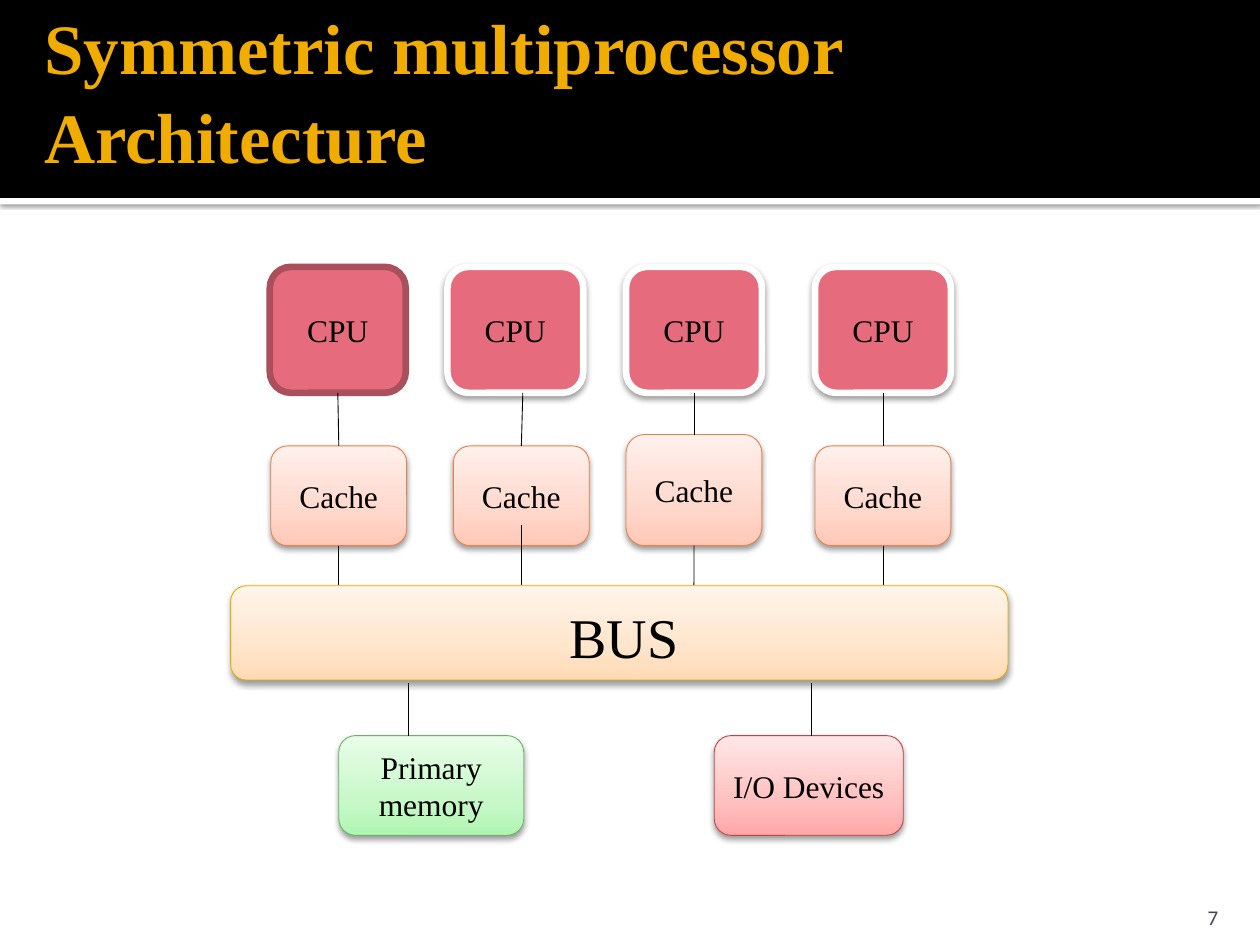
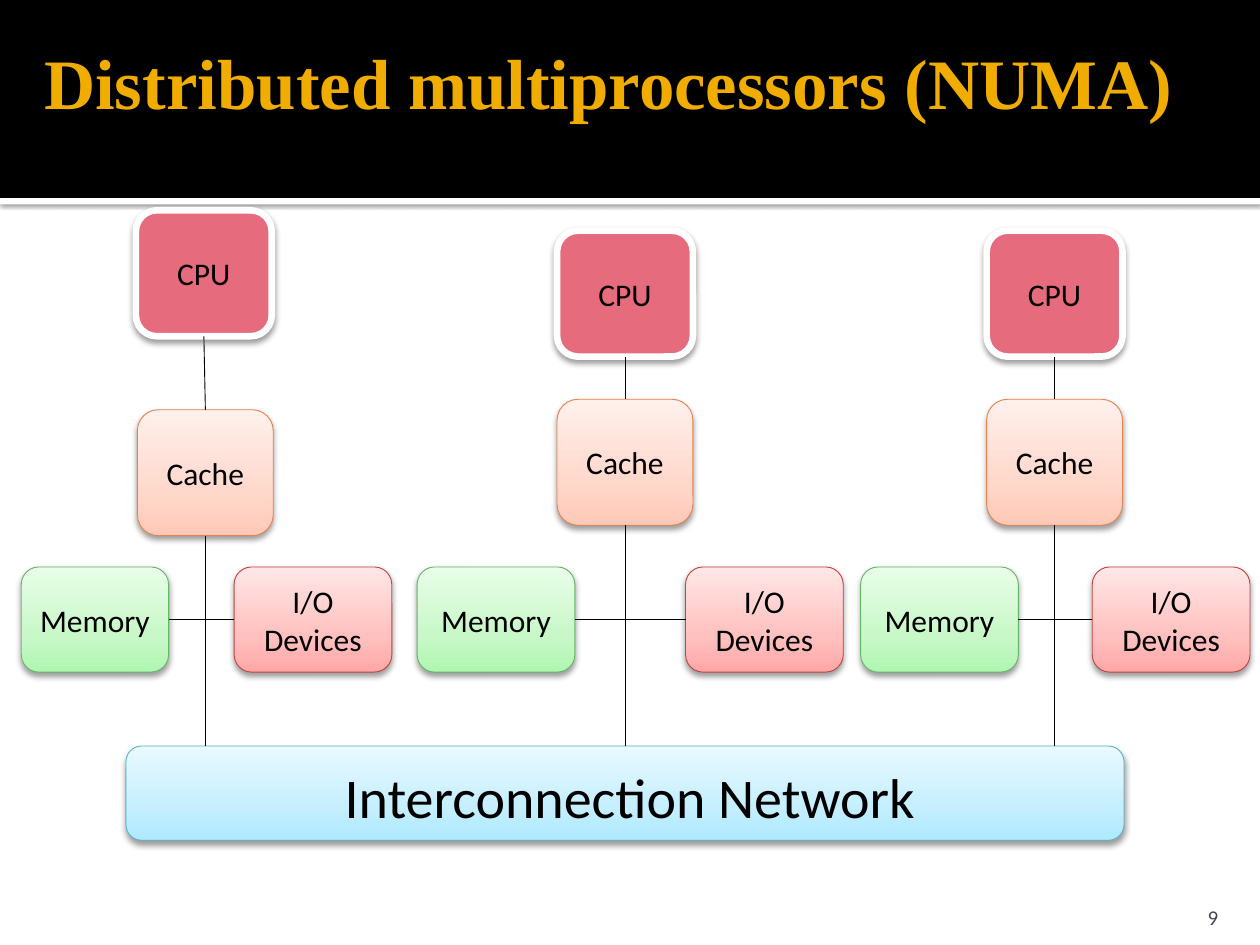
from copy import deepcopy

from lxml.etree import SubElement
from pptx import Presentation
from pptx.dml.color import RGBColor
from pptx.enum.shapes import MSO_CONNECTOR as Connector, MSO_SHAPE as Preset
from pptx.enum.text import MSO_ANCHOR as Anchor, MSO_AUTO_SIZE as AutoSize, PP_ALIGN as Align
from pptx.oxml.ns import qn
from pptx.util import Cm, Pt

SERIF, SANS = "Times New Roman", "Calibri"
TOP, LEFT, BOTTOM, RIGHT = range(4)
SOFT_SHADOW = ("000000", 38, 3.5, 2)
BAND_SHADOW = ("000000", 60, 2.5, 0.8)
CPU_FILL = "E66C7D"
GRADIENTS = {
    "cache": (("FFC8B7", "FFD8CC", "FFF0EC"), "E7824C"),
    "bus": (("FFDBB5", "FFE5CB", "FFF5EB"), "EBA900"),
    "network": (("ADE9FF", "C5EFFF", "E9F9FF"), "5BB3CA"),
    "memory": (("B0F6B1", "C8F8C8", "E9FDE9"), "67B569"),
    "devices": (("FFA7A7", "FFC1C0", "FFE7E7"), "C54342"),
}
STOP_POSITIONS = (0, 0.35, 1)


def color(value):
    return RGBColor.from_string(value)


def apply(target, values):
    for name, value in values.items():
        setattr(target, name, value)


class Deck:
    def __init__(self):
        self.presentation = Presentation()
        apply(self.presentation, {"slide_width": Cm(25.4), "slide_height": Cm(19.05)})
        self.slide = None
        self.font = SERIF

    def new_slide(self, title, title_place, number, font):
        first = self.slide is None
        layout = self.presentation.slide_layouts[1]
        self.slide = self.presentation.slides.add_slide(layout)
        self.font = font
        if first:
            self.master_bands()
        self.title(title, title_place)
        self.page_number(number)

    def place(self, shape, box):
        apply(shape, dict(zip(("left", "top", "width", "height"), map(Cm, box))))

    def shadow(self, shape, style):
        shape.shadow.inherit = False
        if style is None:
            return
        shade, opacity, blur, distance = style
        effects = shape.element.spPr.find(qn("a:effectLst"))
        outer = SubElement(effects, qn("a:outerShdw"), blurRad=str(Pt(blur)),
                           dist=str(Pt(distance)), dir="5400000", rotWithShape="0")
        rgb = SubElement(outer, qn("a:srgbClr"), val=shade)
        SubElement(rgb, qn("a:alpha"), val=str(opacity * 1000))

    def band(self, box, fill, shadow=None):
        shape = self.slide.shapes.add_shape(Preset.RECTANGLE, *map(Cm, box))
        shape.fill.solid()
        shape.fill.fore_color.rgb = color(fill)
        shape.line.fill.background()
        self.shadow(shape, shadow)
        return shape

    def master_bands(self):
        bands = [
            self.band((0, 3.99, 25.4, 0.13), "FFFFFF", BAND_SHADOW),
            self.band((0, 0, 25.4, 3.99), "000000"),
        ]
        tree = self.presentation.slide_master.shapes.element
        for index, shape in enumerate(bands):
            shape.element.nvSpPr.cNvPr.set("id", str(101 + index))
            tree.insert(2 + index, shape.element)

    def set_text(self, shape, text, size, font=None, shade="000000", bold=False,
                 align=Align.CENTER, anchor=Anchor.MIDDLE, insets=None):
        frame = shape.text_frame
        apply(frame, {"word_wrap": True, "auto_size": AutoSize.NONE, "vertical_anchor": anchor})
        if insets:
            names = ("margin_left", "margin_top", "margin_right", "margin_bottom")
            apply(frame, dict(zip(names, map(Cm, insets))))
        paragraph = frame.paragraphs[0]
        paragraph.alignment = align
        run = paragraph.add_run()
        run.text = text
        apply(run.font, {"size": Pt(size), "name": font or self.font, "bold": bold})
        run.font.color.rgb = color(shade)
        return paragraph

    def title(self, text, box):
        shape = self.slide.shapes.title
        self.place(shape, box)
        paragraph = self.set_text(shape, text, 40.5, SERIF, "F0AD00", True, Align.LEFT,
                                  insets=(0.25, 0.13, 0.13, 0.13))
        paragraph.line_spacing = 1.05

    def page_number(self, number):
        shape = self.slide.shapes.add_textbox(*map(Cm, (22.78, 17.98, 2.03, 0.76)))
        self.set_text(shape, str(number), 12, SANS, "464653", align=Align.RIGHT,
                      anchor=Anchor.BOTTOM, insets=(0.25, 0.13, 0.25, 0))

    def outline(self, shape, shade, width):
        shape.line.color.rgb = color(shade)
        shape.line.width = Pt(width)

    def gradient(self, shape, kind):
        shades, edge = GRADIENTS[kind]
        shape.fill.gradient()
        shape.fill.gradient_angle = 90
        stop_list = shape.element.spPr.find(".//" + qn("a:gsLst"))
        stop_list.append(deepcopy(stop_list[0]))
        for stop, shade, position in zip(shape.fill.gradient_stops, shades, STOP_POSITIONS):
            stop.color.rgb = color(shade)
            stop.position = position
        self.outline(shape, edge, 0.5)
        self.shadow(shape, SOFT_SHADOW)

    def rounded(self, box):
        return self.slide.shapes.add_shape(Preset.ROUNDED_RECTANGLE, *map(Cm, box))

    def block(self, kind, text, *box):
        shape = self.rounded(box)
        self.gradient(shape, kind)
        self.set_text(shape, text, 18)
        return shape

    def cpu(self, left, top, edge="FFFFFF", shadow=SOFT_SHADOW):
        shape = self.rounded((left, top, 2.74, 2.54))
        shape.fill.solid()
        shape.fill.fore_color.rgb = color(CPU_FILL)
        self.outline(shape, edge, 3.8)
        self.shadow(shape, shadow)
        self.set_text(shape, "CPU", 18)
        return shape

    def backbone(self, kind, text, *box):
        shape = self.slide.placeholders[1]
        self.place(shape, box)
        geometry = SubElement(shape.element.spPr, qn("a:prstGeom"), prst="roundRect")
        SubElement(geometry, qn("a:avLst"))
        self.gradient(shape, kind)
        paragraph = self.set_text(shape, text, 32, insets=(0.15, 0.25, 0.25, 0.13))
        paragraph.space_before = Pt(5)
        properties = paragraph._p.get_or_add_pPr()
        properties.set("marL", str(Cm(0.3)))
        properties.set("indent", "0")
        SubElement(properties, qn("a:buNone"))
        return shape

    def link(self, start, end):
        points = [(0, 0) if hasattr(point[0], "shape_id") else point for point in (start, end)]
        line = self.slide.shapes.add_connector(
            Connector.STRAIGHT, *(Cm(value) for point in points for value in point))
        for point, connect in ((start, line.begin_connect), (end, line.end_connect)):
            if hasattr(point[0], "shape_id"):
                connect(*point)
        self.outline(line, "000000", 0.5)
        SubElement(line.element.spPr, qn("a:effectLst"))


def symmetric_slide(deck):
    deck.new_slide("Symmetric multiprocessor Architecture", (0.64, 0.2, 23.5, 3.18), 7, SERIF)
    deck.backbone("bus", "BUS", 4.65, 11.81, 15.67, 1.9)
    columns = (
        (5.44, 5.46, 8.99, {"edge": "AA505C", "shadow": None}),
        (9.02, 9.14, 8.99, {}),
        (12.62, 12.62, 8.76, {}),
        (16.43, 16.43, 8.99, {}),
    )
    bus_top, cache_bottom = 11.79, 11
    for index, (cpu_left, cache_left, cache_top, style) in enumerate(columns):
        cpu = deck.cpu(cpu_left, 5.38, **style)
        cache = deck.block("cache", "Cache", cache_left, cache_top, 2.74,
                           cache_bottom - cache_top)
        center = cache_left + 1.37
        offset = index == 1
        deck.link((10.54, 7.92) if offset else (cpu, BOTTOM), (cache, TOP))
        deck.link((center, 10.59) if offset else (cache, BOTTOM), (center, bus_top))
    for kind, text, left, width, line_x in (
        ("memory", "Primary memory", 6.83, 3.73, 8.23),
        ("devices", "I/O Devices", 14.4, 3.81, 16.36),
    ):
        deck.block(kind, text, left, 14.83, width, 2.01)
        deck.link((line_x, 13.77), (line_x, 14.83))


def distributed_slide(deck):
    deck.new_slide("Distributed multiprocessors (NUMA)", (0.64, 0, 24.13, 3.18), 9, SANS)
    network = deck.backbone("network", "Interconnection Network", 2.54, 15.04, 20.12, 1.9)
    nodes = (
        (2.74, 4.24, 2.77, 8.26, 0.43, 2.97, 4.72),
        (11.23, 4.65, 11.23, 8.05, 8.41, 3.18, 13.82),
        (19.89, 4.65, 19.89, 8.05, 17.35, 3.18, 22.02),
    )
    for index, node in enumerate(nodes):
        cpu_left, cpu_top, cache_left, cache_top, memory_left, memory_width, devices_left = node
        cpu = deck.cpu(cpu_left, cpu_top)
        cache = deck.block("cache", "Cache", cache_left, cache_top, 2.74, 2.54)
        memory = deck.block("memory", "Memory", memory_left, 11.43, memory_width, 2.12)
        devices = deck.block("devices", "I/O Devices", devices_left, 11.43, 3.18, 2.12)
        deck.link((cpu, BOTTOM), (cache, TOP))
        deck.link((cache, BOTTOM), (network, TOP) if index == 1 else (cache_left + 1.37, 15.04))
        deck.link((memory, RIGHT), (devices, LEFT))


def main():
    deck = Deck()
    symmetric_slide(deck)
    distributed_slide(deck)
    deck.presentation.save("out.pptx")


if __name__ == "__main__":
    main()
